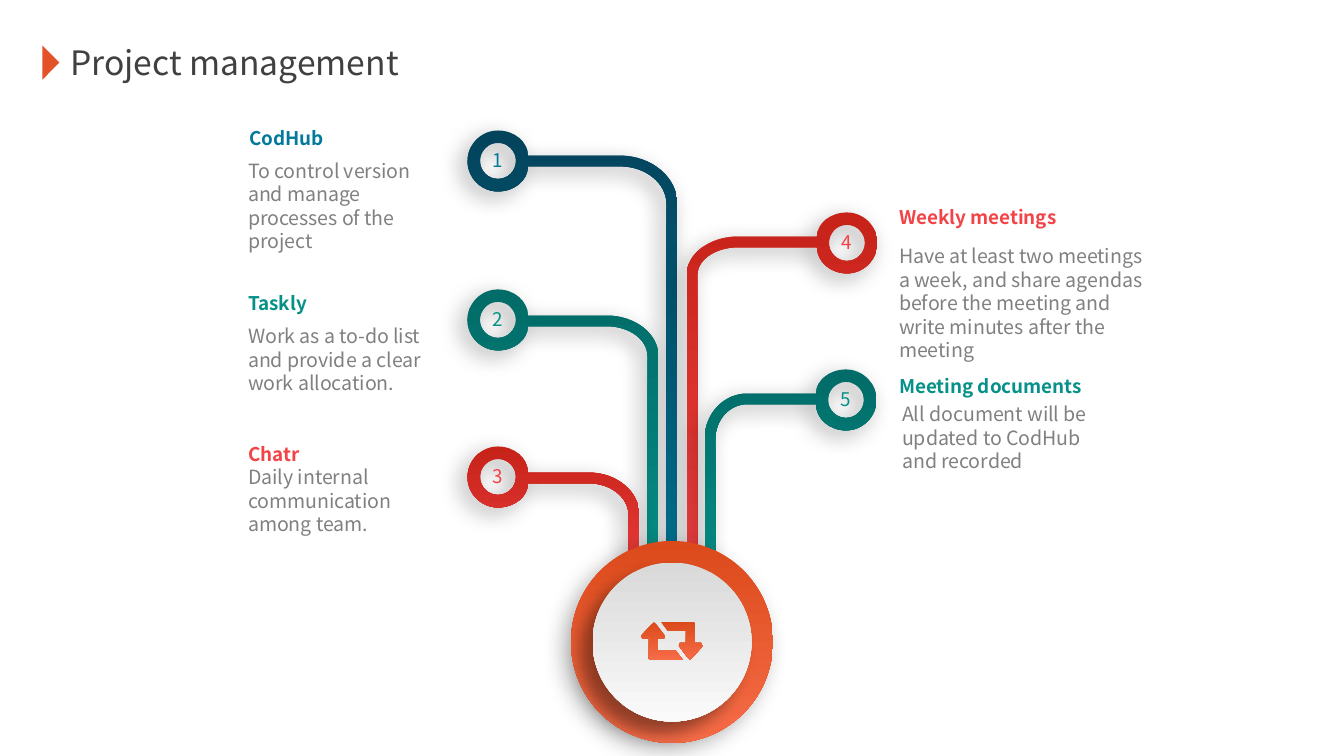
from dataclasses import dataclass

from lxml import etree
from pptx import Presentation
from pptx import util as u
from pptx.dml.color import RGBColor
from pptx.enum import shapes, text
from pptx.oxml.ns import qn

PIXEL = 914400 / 134.4
ROUND = 0.55


@dataclass(frozen=True)
class Theme:
    """Colours, gradients and type sizes of the slide."""
    font: str = "Noto Sans CJK SC"
    title_size: float = 18
    heading_size: float = 10.1
    body_size: float = 10.5
    title: str = "404040"
    body: str = "808080"
    marker: str = "E2532A"
    blue: tuple = ("03435C", "037A9B")
    teal: tuple = ("026C68", "059188")
    red: tuple = ("C72319", "F34347")
    orange: tuple = ("DC4A1B", "F66C47")
    silver: tuple = ("D9D9D9", "FAFAFA")


@dataclass(frozen=True)
class Topic:
    """One branch of the tree with its heading and explanation."""
    heading: str
    body: str
    colours: tuple
    ring: tuple
    level: int
    trunk: int
    bend: tuple
    label: tuple
    body_offset: tuple
    body_size: tuple = (223, 85)


THEME = Theme()
TOPICS = [
    Topic("CodHub", "To control version and manage processes of the project",
          THEME.blue, (498, 161), 161, 672, (620, 204), (236, 120), (-1, 31), (223, 109)),
    Topic("Taskly", "Work as a to-do list and provide a clear work allocation.",
          THEME.teal, (498, 320), 321, 653, (607, 356), (235, 285), (0, 32)),
    Topic("Chatr", "Daily internal communication among team.",
          THEME.red, (498, 477), 478, 634, (589, 515), (235, 436), (0, 22)),
    Topic("Weekly meetings",
          "Have at least two meetings a week, and share agendas before the "
          "meeting and write minutes after the meeting",
          THEME.red, (847, 243), 242, 692, (738, 275), (886, 199), (0, 38), (276, 132)),
    Topic("Meeting documents", "All document will be updated to CodHub and recorded",
          THEME.teal, (846, 400), 399, 710, (747, 439), (886, 368), (3, 27)),
]


def px(value):
    """Turn pixels into EMU."""
    return u.Emu(round(value * PIXEL))


def write(shape, words, size, colour, bold=False, wrap=True,
          align=text.PP_ALIGN.LEFT, anchor=text.MSO_ANCHOR.MIDDLE):
    """Put one formatted run into a shape."""
    frame = shape.text_frame
    frame.auto_size = text.MSO_AUTO_SIZE.NONE
    frame.word_wrap = wrap
    frame.vertical_anchor = anchor
    paragraph = frame.paragraphs[0]
    paragraph.alignment = align
    run = paragraph.add_run()
    run.text = words
    run.font.name = THEME.font
    run.font.size = u.Pt(size)
    run.font.bold = bold
    run.font.color.rgb = RGBColor.from_string(colour)
    east_asian = etree.SubElement(run.font._element, qn("a:ea"))
    east_asian.set("typeface", THEME.font)


def add_text(slide, box, *args, **options):
    """Add a text box at a pixel box."""
    write(slide.shapes.add_textbox(*map(px, box)), *args, **options)


def style(shape, colours, shadow=None):
    """Apply a vertical gradient and an optional (opacity, blur, distance) shadow."""
    shape.line.fill.background()
    shape.fill.gradient()
    shape.fill.gradient_angle = 270
    for stop, colour in zip(shape.fill.gradient_stops, colours):
        stop.color.rgb = RGBColor.from_string(colour)
    shape.shadow.inherit = False
    if shadow:
        opacity, blur, distance = shadow
        effects = shape._element.spPr.find(qn("a:effectLst"))
        outer = etree.SubElement(
            effects, qn("a:outerShdw"), blurRad=str(u.Pt(blur)), dist=str(u.Pt(distance)),
            dir=str(135 * 60000), algn="tr", rotWithShape="0")
        black = etree.SubElement(outer, qn("a:srgbClr"), val="000000")
        etree.SubElement(black, qn("a:alpha"), val=str(opacity * 1000))


def add_outline(slide, contours):
    """Build a freeform from contours of steps: one point is a line, three a curve."""
    builder = None
    for contour in contours:
        points = [(px(x), px(y)) for step in contour for x, y in step]
        if builder is None:
            builder = slide.shapes.build_freeform(*points[0], scale=1.0)
        else:
            builder.move_to(*points[0])
        builder.add_line_segments(points[1:], close=True)
    shape = builder.convert_to_shape()
    segments = iter(list(shape._element.iter(qn("a:lnTo"))))
    for contour in contours:
        for step in contour[1:]:
            first, *others = [next(segments) for _ in step]
            if others:
                curve = etree.Element(qn("a:cubicBezTo"))
                first.addprevious(curve)
                for segment in (first, *others):
                    curve.append(segment[0])
                    segment.getparent().remove(segment)
    return shape


def turn(start, end, sideways):
    """Return a quarter-turn curve that leaves its start sideways or upright."""
    dx, dy = end[0] - start[0], end[1] - start[1]
    if sideways:
        return ((start[0] + ROUND * dx, start[1]), (end[0], end[1] - ROUND * dy), end)
    return ((start[0], start[1] + ROUND * dy), (end[0] - ROUND * dx, end[1]), end)


def around(centre, radius, side, start, end):
    """Return four turns round a circle from start to end."""
    x, y = centre
    corners = [start, (x, y + radius), (x - side * radius, y), (x, y - radius), end]
    return [turn(a, b, index % 2 == 1)
            for index, (a, b) in enumerate(zip(corners, corners[1:]))]


def add_branch(slide, topic, bottom=607, radius=30.5, hole=18, half=5.4):
    """Draw a ring with a pipe that bends down into the hub."""
    x, y = topic.ring
    side = 1 if topic.trunk > x else -1
    bend_x, bend_y = topic.bend
    upper, lower = topic.level - half, topic.level + half
    outer, inner = topic.trunk + side * half, topic.trunk - side * half
    joint = x + side * (radius - 0.5)
    pipe = [((joint, lower),),
            *around(topic.ring, radius, side, (joint, lower), (joint, upper)),
            ((bend_x, upper),), turn((bend_x, upper), (outer, bend_y), True),
            ((outer, bottom),), ((inner, bottom),), ((inner, bend_y),),
            turn((inner, bend_y), (bend_x, lower), False)]
    edge = (x + side * hole, y)
    opening = [(edge,), *around(topic.ring, hole, side, edge, edge)]
    style(add_outline(slide, [pipe, opening]), topic.colours, (30, 12, 5))


def add_label(slide, topic, number):
    """Write the heading, explanation and ring number of a topic."""
    left, top = topic.label
    shift, drop = topic.body_offset
    accent = topic.colours[1]
    add_text(slide, (left, top, 220, 36), topic.heading, THEME.heading_size, accent,
             bold=True, wrap=False, anchor=text.MSO_ANCHOR.TOP)
    add_text(slide, (left + shift, top + drop, *topic.body_size), topic.body,
             THEME.body_size, THEME.body)
    x, y = topic.ring
    add_text(slide, (x - 19, y - 19, 38, 36), str(number), THEME.heading_size, accent,
             wrap=False, align=text.PP_ALIGN.CENTER)


def add_hub(slide, box):
    """Draw the round hub and its cycle icon in a square box."""
    left, top, size = box
    x, y = left + size / 2, top + size / 2
    for diameter, colours, shadow in ((size, THEME.orange, (30, 12, 5)),
                                      (size - 43, THEME.silver, (40, 9, 9))):
        disc = slide.shapes.add_shape(
            shapes.MSO_SHAPE.OVAL, px(x - diameter / 2), px(y - diameter / 2),
            px(diameter), px(diameter))
        style(disc, colours, shadow)
    arrow = [(11, 19), (-22, 19), (-23, 18), (-23, -2), (-29, -2), (-31, -5), (-20, -17),
             (-18, -19), (-16, -17), (-7, -5), (-8, -2), (-14, -2), (-14, 10), (4, 10)]
    icon = add_outline(slide, [[((x + sign * dx, y - 1 + sign * dy),) for dx, dy in arrow]
                               for sign in (1, -1)])
    style(icon, THEME.orange)


def add_title(slide, box, words):
    """Place the title with the triangular marker on its left."""
    left, top, width, height = box
    title = slide.shapes.title
    title.left, title.top, title.width, title.height = map(px, box)
    write(title, words, THEME.title_size, THEME.title, wrap=False)
    marker = slide.shapes.add_shape(shapes.MSO_SHAPE.ISOSCELES_TRIANGLE,
                                    px(left - 23), px(top + 19), px(34), px(17))
    marker.rotation = 90
    marker.shadow.inherit = False
    marker.line.fill.background()
    marker.fill.solid()
    marker.fill.fore_color.rgb = RGBColor.from_string(THEME.marker)


def build_slide(presentation):
    """Compose the project management tree."""
    slide = presentation.slides.add_slide(presentation.slide_layouts[5])
    add_title(slide, (57, 35, 367, 54), "Project management")
    for topic in TOPICS:
        add_branch(slide, topic)
    for number, topic in enumerate(TOPICS, 1):
        add_label(slide, topic, number)
    add_hub(slide, (571, 541, 202))


presentation = Presentation()
presentation.slide_width, presentation.slide_height = px(1344), px(756)
build_slide(presentation)
presentation.save("out.pptx")
